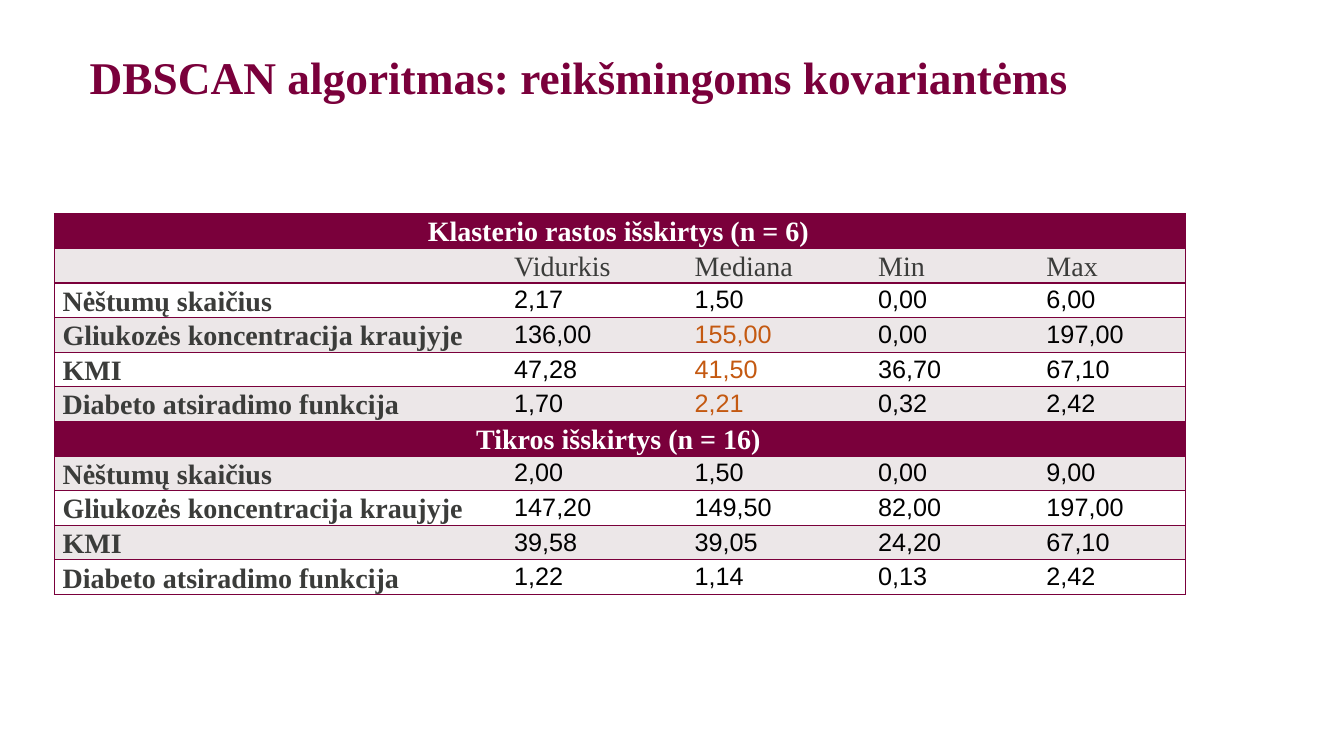
"""Build the slide on DBSCAN outliers for the significant covariates."""
import pptx
import pptx.dml.color
import pptx.enum.text
import pptx.oxml
import pptx.oxml.ns
import pptx.util

Inches, Pt = pptx.util.Inches, pptx.util.Pt
RGBColor = pptx.dml.color.RGBColor
ALIGN = pptx.enum.text.PP_ALIGN

MAROON = RGBColor(0x7A, 0x00, 0x3B)
GREY = RGBColor(0xEC, 0xE7, 0xE8)
WHITE = RGBColor(0xFF, 0xFF, 0xFF)
DARK = RGBColor(0x3B, 0x3C, 0x3A)
BLACK = RGBColor(0x00, 0x00, 0x00)
ORANGE = RGBColor(0xC4, 0x59, 0x11)
SERIF, SANS = "Times New Roman", "Arial"
NO_STYLE = "{2D5ABB26-0587-4C30-8999-92F81FD0307C}"

TITLE = "DBSCAN algoritmas: reikšmingoms kovariantėms"
ROWS = [
    ("Klasterio rastos išskirtys (n = 6)",),
    ("", "Vidurkis", "Mediana", "Min", "Max"),
    ("Nėštumų skaičius", "2,17", "1,50", "0,00", "6,00"),
    ("Gliukozės koncentracija kraujyje", "136,00", "155,00", "0,00", "197,00"),
    ("KMI", "47,28", "41,50", "36,70", "67,10"),
    ("Diabeto atsiradimo funkcija", "1,70", "2,21", "0,32", "2,42"),
    ("Tikros išskirtys (n = 16)",),
    ("Nėštumų skaičius", "2,00", "1,50", "0,00", "9,00"),
    ("Gliukozės koncentracija kraujyje", "147,20", "149,50", "82,00", "197,00"),
    ("KMI", "39,58", "39,05", "24,20", "67,10"),
    ("Diabeto atsiradimo funkcija", "1,22", "1,14", "0,13", "2,42"),
]
HEADINGS_ROW = 1
HIGHLIGHTS = {(3, 2), (4, 2), (5, 2)}
COL_WIDTHS = [4.48, 1.79, 1.82, 1.67, 1.46]
LEFT, TOP, HEIGHT = 0.54, 2.12, 3.78
LABEL_LINE, VALUE_LINE = Pt(24.5), Pt(22.4)


def write(tf, text, size=20, font=SERIF, color=DARK, bold=False,
          align=ALIGN.JUSTIFY, spacing=LABEL_LINE):
    p = tf.paragraphs[0]
    p.alignment, p.line_spacing = align, spacing
    r = p.add_run()
    r.text = text
    r.font.size, r.font.name, r.font.bold = Pt(size), font, bold
    r.font.color.rgb = color


def style_cell(cell, fill, sides):
    cell.margin_left, cell.margin_right = Inches(0.08), Inches(0.11)
    cell.margin_top = cell.margin_bottom = 0
    cell.fill.solid()
    cell.fill.fore_color.rgb = fill
    tc_pr = cell._tc.get_or_add_tcPr()
    for i, side in enumerate(sides):
        tc_pr.insert(i, pptx.oxml.parse_xml(
            f'<a:ln{side} {pptx.oxml.ns.nsdecls("a")} w="{Pt(1)}"><a:solidFill>'
            f'<a:srgbClr val="{MAROON}"/></a:solidFill></a:ln{side}>'))


def add_outlier_table(s):
    n_rows, n_cols = len(ROWS), len(COL_WIDTHS)
    frame = s.shapes.add_table(n_rows, n_cols, Inches(LEFT), Inches(TOP),
                               Inches(sum(COL_WIDTHS)), Inches(HEIGHT))
    table = frame.table
    table.first_row = table.horz_banding = False
    table._tbl.tblPr.find(pptx.oxml.ns.qn("a:tableStyleId")).text = NO_STYLE
    for col, width in zip(table.columns, COL_WIDTHS):
        col.width = Inches(width)
    for i, texts in enumerate(ROWS):
        table.rows[i].height = Inches(HEIGHT / n_rows)
        is_band = len(texts) == 1
        fill = MAROON if is_band else GREY if i % 2 else WHITE
        for j in range(n_cols):
            sides = ["L"] * (j == 0) + ["R"] * (j == n_cols - 1) + ["T", "B"]
            if is_band and j == 0:
                sides = ["L", "R", "T", "B"]
            style_cell(table.cell(i, j), fill, sides)
        if is_band:
            table.cell(i, 0).merge(table.cell(i, n_cols - 1))
        for j, text in enumerate(texts):
            tf = table.cell(i, j).text_frame
            if is_band:
                write(tf, text, color=WHITE, bold=True, align=ALIGN.CENTER)
            elif i == HEADINGS_ROW or j == 0:
                if text:
                    write(tf, text, bold=j == 0)
            else:
                color = ORANGE if (i, j) in HIGHLIGHTS else BLACK
                write(tf, text, size=18, font=SANS, color=color, spacing=VALUE_LINE)


def main():
    prs = pptx.Presentation()
    prs.slide_width, prs.slide_height = Inches(13.33), Inches(7.5)
    s = prs.slides.add_slide(prs.slide_layouts[6])
    sp = s.shapes.add_textbox(Inches(0.79), Inches(0.5), Inches(9.95), Inches(0.97))
    sp.text_frame.word_wrap = True
    write(sp.text_frame, TITLE, size=32.4, color=MAROON, bold=True,
          align=ALIGN.LEFT, spacing=0.9)
    add_outlier_table(s)
    prs.save("out.pptx")


if __name__ == "__main__":
    main()
